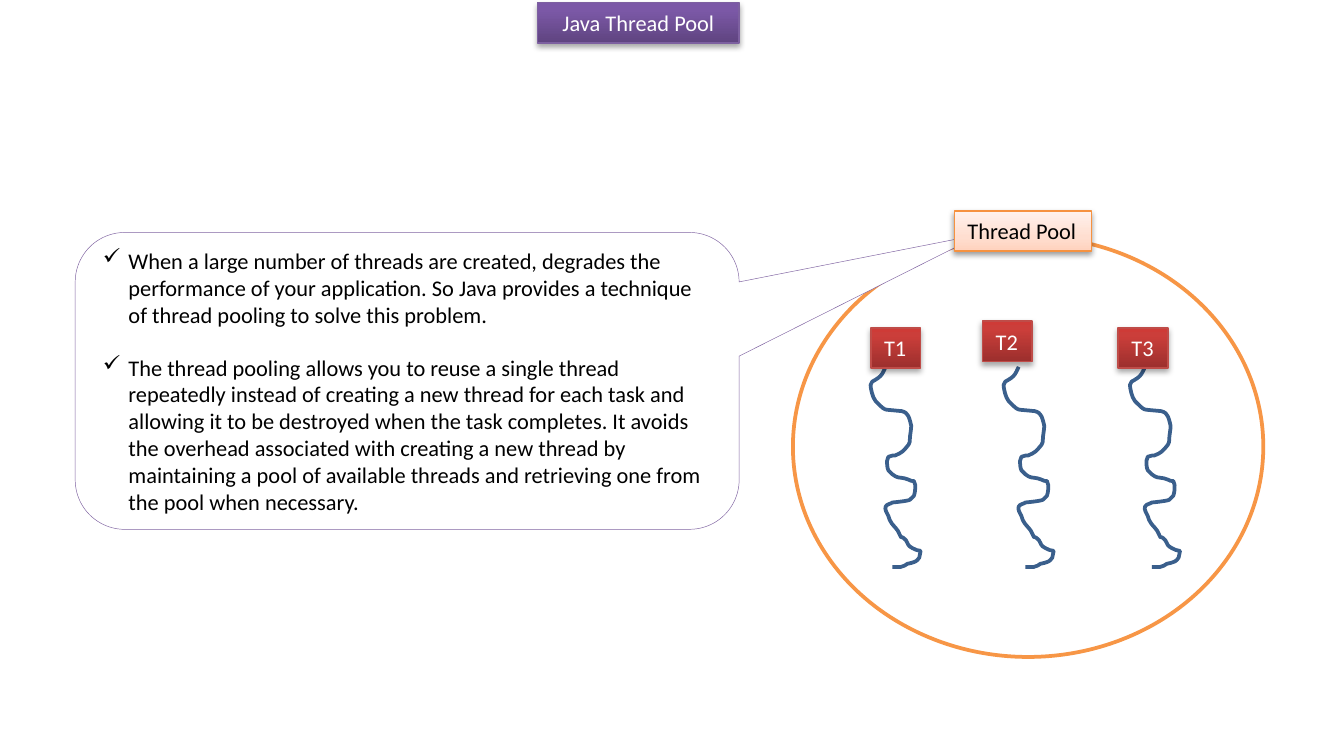
import copy
from dataclasses import dataclass

import pptx
import pptx.dml.color
import pptx.enum.shapes
import pptx.enum.text
import pptx.oxml
import pptx.oxml.ns
import pptx.util
from pptx.util import Inches

Shapes = pptx.enum.shapes.MSO_SHAPE
Align = pptx.enum.text.PP_ALIGN
Anchor = pptx.enum.text.MSO_ANCHOR
AutoSize = pptx.enum.text.MSO_AUTO_SIZE


@dataclass(frozen=True)
class BoxStyle:
    stops: tuple
    line: str
    text: str
    shadow_opacity: int = 35
    shadow_distance: float = 1.8


@dataclass(frozen=True)
class Theme:
    font: str = "Calibri"
    size: float = 12
    white: str = "FFFFFF"
    black: str = "000000"
    pool_line: str = "F79646"
    strand_line: str = "3A5F8C"
    callout_line: str = "8064A2"
    title: BoxStyle = BoxStyle(
        ((0, "5F4480"), (0.8, "7B58A6"), (1, "7C57A8")), "7D60A0", "FFFFFF")
    thread: BoxStyle = BoxStyle(
        ((0, "9C2F2D"), (0.8, "CB3E3A"), (1, "CE3B37")), "BF4C48", "FFFFFF")
    pool_label: BoxStyle = BoxStyle(
        ((0, "FFD2BD"), (0.35, "FFDED0"), (1, "FFF2ED")), "F69240", "000000", 38, 1.6)


@dataclass(frozen=True)
class Box:
    left: float
    top: float
    width: float
    height: float

    def lengths(self) -> tuple:
        return tuple(Inches(n) for n in (self.left, self.top, self.width, self.height))


@dataclass(frozen=True)
class Thread:
    label: str
    box: Box
    strand_left: float


THEME = Theme()
STRAND_TOP = 2.73
THREADS = (
    Thread("T1", Box(6.48, 2.44, 0.37, 0.3), 6.48),
    Thread("T2", Box(7.31, 2.39, 0.37, 0.3), 7.47),
    Thread("T3", Box(8.32, 2.44, 0.37, 0.3), 8.41),
)
# Hundredths of an inch: a start, then two control points and an end per curve
STRAND = (
    (11, 0),
    (10, 2), (9, 5), (7, 7), (5, 9), (1, 11), (1, 11),
    (0, 13), (-1, 14), (0, 16), (1, 21), (2, 25), (6, 28),
    (8, 30), (10, 32), (12, 32), (12, 32), (23, 33), (23, 33),
    (26, 34), (26, 34), (28, 37), (29, 39), (30, 44), (30, 44),
    (30, 47), (29, 51), (29, 54), (29, 55), (29, 57), (28, 58),
    (24, 63), (23, 64), (18, 66), (17, 66), (15, 66), (13, 67),
    (13, 68), (12, 69), (12, 70), (12, 72), (12, 75), (13, 77),
    (14, 78), (15, 79), (16, 80), (20, 83), (20, 82), (25, 83),
    (26, 83), (27, 84), (28, 84), (29, 85), (31, 85), (32, 85),
    (32, 86), (33, 87), (33, 88), (33, 91), (33, 93), (32, 96),
    (31, 97), (30, 98), (29, 99), (27, 100), (16, 101), (16, 101),
    (15, 102), (12, 102), (11, 104), (10, 106), (12, 109), (13, 111),
    (14, 112), (14, 113), (14, 114), (16, 118), (18, 119), (20, 122),
    (25, 132), (20, 123), (26, 129), (28, 132), (27, 133), (31, 135),
    (33, 136), (35, 137), (37, 137), (37, 139), (37, 140), (36, 142),
    (34, 145), (33, 145), (30, 146), (28, 146), (26, 147), (25, 148),
    (24, 148), (23, 149), (22, 149), (20, 149), (18, 149), (16, 149),
)
POINTS = (
    "When a large number of threads are created, degrades the performance of your "
    "application. So Java provides a technique of thread pooling to solve this problem.",
    "The thread pooling allows you to reuse a single thread repeatedly instead of creating "
    "a new thread for each task and allowing it to be destroyed when the task completes. "
    "It avoids the overhead associated with creating a new thread by maintaining a pool of "
    "available threads and retrieving one from the pool when necessary.",
)


def color(value: str) -> pptx.dml.color.RGBColor:
    return pptx.dml.color.RGBColor.from_string(value)


def assign(target, values: dict) -> None:
    for name, value in values.items():
        setattr(target, name, value)


def set_line(shape, value: str, width: float) -> None:
    shape.line.color.rgb = color(value)
    shape.line.width = pptx.util.Pt(width)


def set_font(paragraph, value: str) -> None:
    assign(paragraph.font, {"name": THEME.font, "size": pptx.util.Pt(THEME.size)})
    paragraph.font.color.rgb = color(value)


def set_gradient(shape, stops: tuple) -> None:
    shape.fill.gradient()
    shape.fill.gradient_angle = 90
    stop_list = shape._element.spPr.find(".//" + pptx.oxml.ns.qn("a:gsLst"))
    stop_list.append(copy.deepcopy(stop_list[0]))
    for stop, (position, value) in zip(shape.fill.gradient_stops, stops):
        stop.position = position
        stop.color.rgb = color(value)


def set_shadow(shape, style: BoxStyle) -> None:
    shape.shadow.inherit = False
    effects = shape._element.spPr.find(pptx.oxml.ns.qn("a:effectLst"))
    effects.append(pptx.oxml.parse_xml(
        f'<a:outerShdw {pptx.oxml.ns.nsdecls("a")} blurRad="{pptx.util.Pt(3.1)}" '
        f'dist="{pptx.util.Pt(style.shadow_distance)}" dir="5400000" rotWithShape="0">'
        f'<a:srgbClr val="{THEME.black}"><a:alpha val="{style.shadow_opacity * 1000}"/>'
        '</a:srgbClr></a:outerShdw>'))


def format_label(shape, text: str, style: BoxStyle, frame_format: dict, alignment) -> None:
    set_gradient(shape, style.stops)
    set_line(shape, style.line, 0.75)
    set_shadow(shape, style)
    frame = shape.text_frame
    frame.text = text
    assign(frame, {"vertical_anchor": Anchor.TOP, **frame_format})
    frame.paragraphs[0].alignment = alignment
    set_font(frame.paragraphs[0], style.text)


def add_title(slide) -> None:
    title = slide.shapes.title
    lengths = Box(4, 0.02, 1.5, 0.3).lengths()
    assign(title, dict(zip(("left", "top", "width", "height"), lengths)))
    format_label(title, "Java Thread Pool", THEME.title,
                 {"word_wrap": True, "auto_size": AutoSize.NONE}, Align.CENTER)


def add_label(slide, text: str, box: Box, style: BoxStyle) -> None:
    shape = slide.shapes.add_shape(Shapes.RECTANGLE, *box.lengths())
    format_label(shape, text, style,
                 {"word_wrap": False, "auto_size": AutoSize.SHAPE_TO_FIT_TEXT}, Align.LEFT)


def add_plain_shape(slide, kind, box: Box, line: str, width: float):
    shape = slide.shapes.add_shape(kind, *box.lengths())
    shape.shadow.inherit = False
    shape.fill.solid()
    shape.fill.fore_color.rgb = color(THEME.white)
    set_line(shape, line, width)
    return shape


def curve_segments(shape) -> None:
    """Turn each three line segments of a freeform into one cubic Bézier curve."""
    lines = list(shape._element.spPr.iter(pptx.oxml.ns.qn("a:lnTo")))
    for first in range(0, len(lines), 3):
        curve = pptx.oxml.parse_xml(f'<a:cubicBezTo {pptx.oxml.ns.nsdecls("a")}/>')
        lines[first].addprevious(curve)
        for line in lines[first:first + 3]:
            curve.append(line[0])
            line.getparent().remove(line)


def add_strand(slide, left: float) -> None:
    vertices = [(Inches(left + x / 100), Inches(STRAND_TOP + y / 100)) for x, y in STRAND]
    builder = slide.shapes.build_freeform(*vertices[0])
    builder.add_line_segments(vertices[1:], close=False)
    strand = builder.convert_to_shape()
    curve_segments(strand)
    strand.shadow.inherit = False
    strand.fill.background()
    set_line(strand, THEME.strand_line, 2)


def add_bullet(paragraph) -> None:
    properties = paragraph._p.get_or_add_pPr()
    properties.set("marL", str(Inches(0.19)))
    properties.set("indent", str(Inches(-0.19)))
    properties.append(pptx.oxml.parse_xml(
        f'<a:buChar {pptx.oxml.ns.nsdecls("a")} char="✓"/>'))


def add_callout(slide) -> None:
    callout = add_plain_shape(slide, Shapes.ROUNDED_RECTANGULAR_CALLOUT,
                              Box(0.56, 1.73, 4.94, 2.21), THEME.callout_line, 0.25)
    for index, value in enumerate((0.865, -0.494, 0.167)):
        callout.adjustments[index] = value
    frame = callout.text_frame
    assign(frame, {"word_wrap": True, "vertical_anchor": Anchor.MIDDLE})
    frame.text = "\n".join(POINTS)
    for paragraph in frame.paragraphs:
        add_bullet(paragraph)
        paragraph.alignment = Align.LEFT
        set_font(paragraph, THEME.black)
    frame.paragraphs[1].space_before = pptx.util.Pt(14)


def main() -> None:
    presentation = pptx.Presentation()
    assign(presentation, {"slide_width": Inches(10), "slide_height": Inches(5.5)})
    slide = presentation.slides.add_slide(presentation.slide_layouts[5])
    add_title(slide)
    add_plain_shape(slide, Shapes.OVAL, Box(5.9, 1.76, 3.5, 3.13), THEME.pool_line, 2)
    for thread in THREADS:
        add_strand(slide, thread.strand_left)
    for thread in THREADS:
        add_label(slide, thread.label, thread.box, THEME.thread)
    add_callout(slide)
    add_label(slide, "Thread Pool", Box(7.1, 1.57, 1.02, 0.3), THEME.pool_label)
    presentation.save("out.pptx")


if __name__ == "__main__":
    main()
